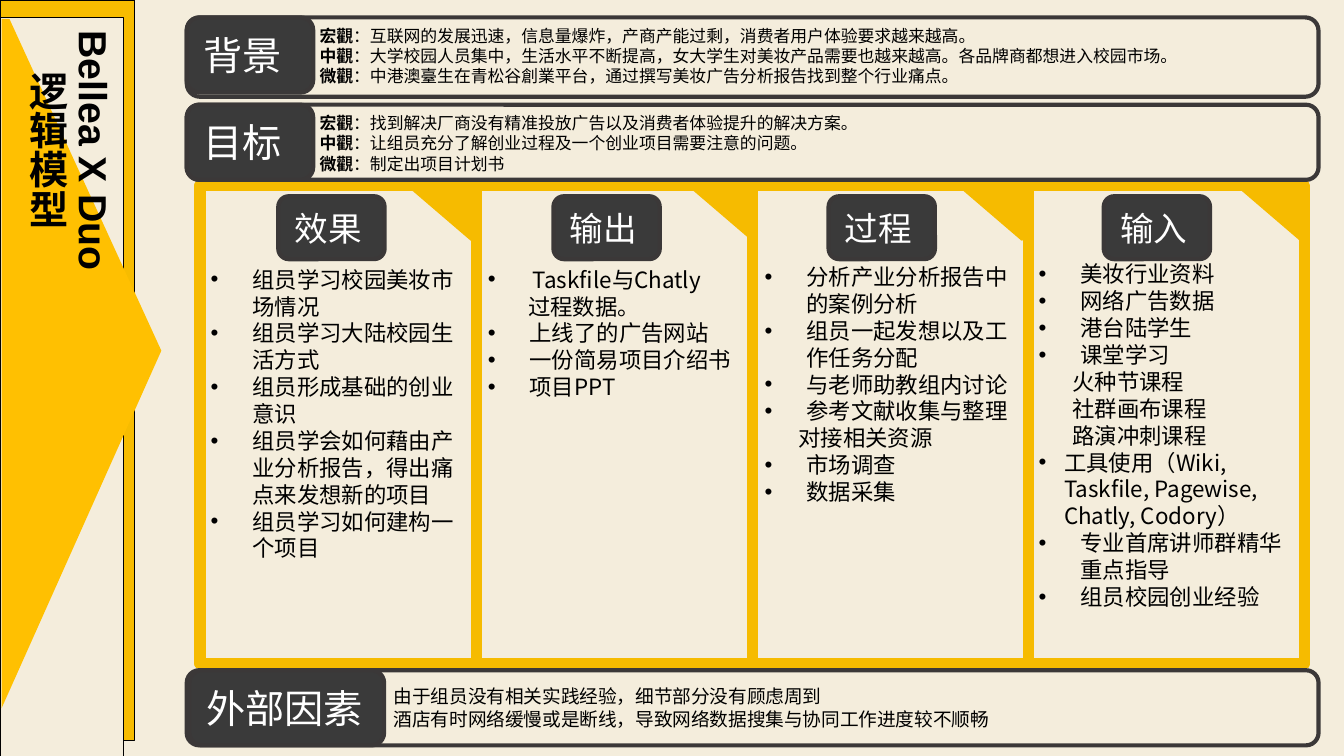
from lxml import etree
from pptx import Presentation
from pptx.dml.color import RGBColor
from pptx.enum.shapes import MSO_SHAPE
from pptx.enum.text import MSO_ANCHOR, MSO_AUTO_SIZE, PP_ALIGN
from pptx.oxml.ns import qn
from pptx.util import Cm, Pt

RECT, ROUND, TRIANGLE = MSO_SHAPE.RECTANGLE, MSO_SHAPE.ROUNDED_RECTANGLE, MSO_SHAPE.RIGHT_TRIANGLE
LEFT, CENTER = PP_ALIGN.LEFT, PP_ALIGN.CENTER
MIDDLE, FIT = MSO_ANCHOR.MIDDLE, MSO_AUTO_SIZE.SHAPE_TO_FIT_TEXT
CREAM = RGBColor(0xF4, 0xED, 0xDC)
AMBER = RGBColor(0xF6, 0xBB, 0x00)
GOLD = RGBColor(0xF7, 0xBC, 0x00)
ARROW = RGBColor(0xFF, 0xC0, 0x01)
DARK = RGBColor(0x3A, 0x3A, 0x3A)
EDGE = RGBColor(0x3B, 0x38, 0x38)
BLACK = RGBColor(0, 0, 0)
WHITE = RGBColor(0xFF, 0xFF, 0xFF)
SANS, BODY = "Arial", "Noto Sans CJK TC"

# Content: lengths in cm
TITLE = ["Bellea X Duo", "逻辑模型"]

# label, bar top, bar height, label left and width, text box, size, lines of (bold, plain)
BARS = [
    ("目标", 1.98, 1.42, 3.53, 2.39, (5.79, 2.01, 18.47, 1.4), 9, [
        ("宏觀", "：找到解决厂商没有精准投放广告以及消费者体验提升的解决方案。"),
        ("中觀", "：让组员充分了解创业过程及一个创业项目需要注意的问题。"),
        ("微觀", "：制定出项目计划书")]),
    ("背景", 0.33, 1.5, 3.53, 2.39, (5.79, 0.36, 19.41, 1.4), 9, [
        ("宏觀", "：互联网的发展迅速，信息量爆炸，产商产能过剩，消费者用户体验要求越来越高。"),
        ("中觀", "：大学校园人员集中，生活水平不断提高，女大学生对美妆产品需要也越来越高。"
                 "各品牌商都想进入校园市场。"),
        ("微觀", "：中港澳臺生在青松谷創業平台，通过撰写美妆广告分析报告找到整个行业痛点。")]),
    ("外部因素", 12.67, 1.42, 3.58, 3.68, (7.19, 12.83, 17.98, 1.12), 10, [
        ("", "由于组员没有相关实践经验，细节部分没有顾虑周到"),
        ("", "酒店有时网络缓慢或是断线，导致网络数据搜集与协同工作进度较不顺畅")]),
]

# (left margin, hanging indent) of each kind of paragraph
ITEM, TIGHT, LEAD = (0.79, 0.79), (0.48, 0.48), (0.85, 0.85)
SUB, FOLLOW = (0.64, 0), (0.76, 0)

# heading, triangle left, text box, paragraphs
COLUMNS = [
    ("效果", 7.8, (3.73, 4.9, 5.13, 6.4), [
        (ITEM, "组员学习校园美妆市场情况"), (ITEM, "组员学习大陆校园生活方式"),
        (ITEM, "组员形成基础的创业意识"),
        (ITEM, "组员学会如何藉由产业分析报告，得出痛点来发想新的项目"),
        (ITEM, "组员学习如何建构一个项目")]),
    ("输出", 13.11, (8.97, 4.9, 5.26, 2.82), [
        (LEAD, "Taskfile与Chatly"), (FOLLOW, "过程数据。"),
        (ITEM, "上线了的广告网站"), (ITEM, "一份简易项目介绍书"), (ITEM, "项目PPT")]),
    ("过程", 18.21, (14.2, 4.85, 5.11, 5.38), [
        (ITEM, "分析产业分析报告中的案例分析"), (ITEM, "组员一起发想以及工作任务分配"),
        (ITEM, "与老师助教组内讨论"), (ITEM, "参考文献收集与整理"),
        (SUB, "对接相关资源"), (ITEM, "市场调查"), (ITEM, "数据采集")]),
    ("输入", 23.47, (19.38, 4.8, 5.46, 8.56), [
        (ITEM, "美妆行业资料"), (ITEM, "网络广告数据"), (ITEM, "港台陆学生"), (ITEM, "课堂学习"),
        (SUB, "火种节课程"), (SUB, "社群画布课程"), (SUB, "路演冲刺课程"),
        (TIGHT, "工具使用（Wiki, Taskfile, Pagewise, Chatly, Codory）"),
        (ITEM, "专业首席讲师群精华重点指导"), (ITEM, "组员校园创业经验")]),
]

prs = Presentation()
prs.slide_width, prs.slide_height = Cm(25.4), Cm(14.29)
slide = prs.slides.add_slide(prs.slide_layouts[6])
slide.background.fill.solid()
slide.background.fill.fore_color.rgb = CREAM


def paint(s, fill, line, width):
    s.shadow.inherit = False
    if fill is None:
        s.fill.background()
    else:
        s.fill.solid()
        s.fill.fore_color.rgb = fill
    if line is None:
        s.line.fill.background()
    else:
        s.line.color.rgb = line
        s.line.width = Pt(width)
    return s


def add_box(kind, box, fill, line, width):
    return paint(slide.shapes.add_shape(kind, *map(Cm, box)), fill, line, width)


def add_run(p, text, size, font, color, bold=False):
    r = p.add_run()
    r.text = text
    r.font.size, r.font.name, r.font.bold = Pt(size), font, bold
    r.font.color.rgb = color
    if font == BODY:
        etree.SubElement(r._r.get_or_add_rPr(), qn("a:ea")).set("typeface", font)


def add_label(box, text, size):
    tf = add_box(ROUND, box, DARK, EDGE, 2.25).text_frame
    tf.vertical_anchor = MIDDLE
    p = tf.paragraphs[0]
    p.alignment = LEFT
    add_run(p, text, size, SANS, WHITE)


def add_text(box):
    tf = slide.shapes.add_textbox(*map(Cm, box)).text_frame
    tf.word_wrap = True
    tf.auto_size = FIT
    return tf


def paragraphs(tf, items):
    for i, item in enumerate(items):
        yield (tf.add_paragraph() if i else tf.paragraphs[0]), item


def set_indent(p, margin, hanging):
    pPr = p._p.get_or_add_pPr()
    pPr.set("marL", str(Cm(margin)))
    pPr.set("indent", str(-Cm(hanging)))
    if hanging:
        etree.SubElement(pPr, qn("a:buFont")).set("typeface", SANS)
        etree.SubElement(pPr, qn("a:buChar")).set("char", "•")


# Column frames and corner triangles
for i in reversed(range(len(COLUMNS))):
    add_box(RECT, (3.78 + 5.22 * i, 3.51, 5.22, 9.04), None, AMBER, 6)
for _, corner_left, _, _ in COLUMNS:
    s = add_box(TRIANGLE, (corner_left, 3.43, 1.02, 1.19), AMBER, AMBER, 1)
    s.rotation = 90
    s._element.spPr.xfrm.set("flipV", "1")

# Bars, then their labels
for _, top, height, *_ in BARS:
    add_box(ROUND, (3.53, top, 21.39, height), None, EDGE, 2.25)
for label, top, _, left, width, *_ in BARS:
    add_label((left, top, width, 1.42), label, 21)

# Column headings
for i, (heading, *_) in enumerate(COLUMNS):
    add_label((5.26 + 5.2 * i, 3.71, 2.01, 1.19), heading, 18)

# Title panel with arrow
add_box(RECT, (0, 0, 2.54, 14), GOLD, BLACK, 0.75)
add_box(RECT, (0, 0.33, 2.34, 13.97), CREAM, BLACK, 0.75)
fb = slide.shapes.build_freeform(Cm(0.03), Cm(0.36))
fb.add_line_segments([(Cm(x), Cm(y)) for x, y in ((0.18, 0.36), (3.05, 6.63), (0.03, 13.39))])
paint(fb.convert_to_shape(), ARROW, None, 0)
tf = add_text((0.05, 0.33, 2.31, 13.97))
tf._txBody.bodyPr.set("vert", "eaVert")
for p, line in paragraphs(tf, TITLE):
    p.alignment = CENTER
    add_run(p, line, 21, SANS, BLACK, True)

# Bar texts
for *_, box, size, lines in BARS:
    for p, (lead, rest) in paragraphs(add_text(box), lines):
        if lead:
            add_run(p, lead, size, BODY, BLACK, True)
        add_run(p, rest, size, BODY, BLACK)

# Column texts
for _, _, box, items in COLUMNS:
    for p, (indent, text) in paragraphs(add_text(box), items):
        set_indent(p, *indent)
        add_run(p, text, 12, BODY, BLACK)

prs.save("out.pptx")
